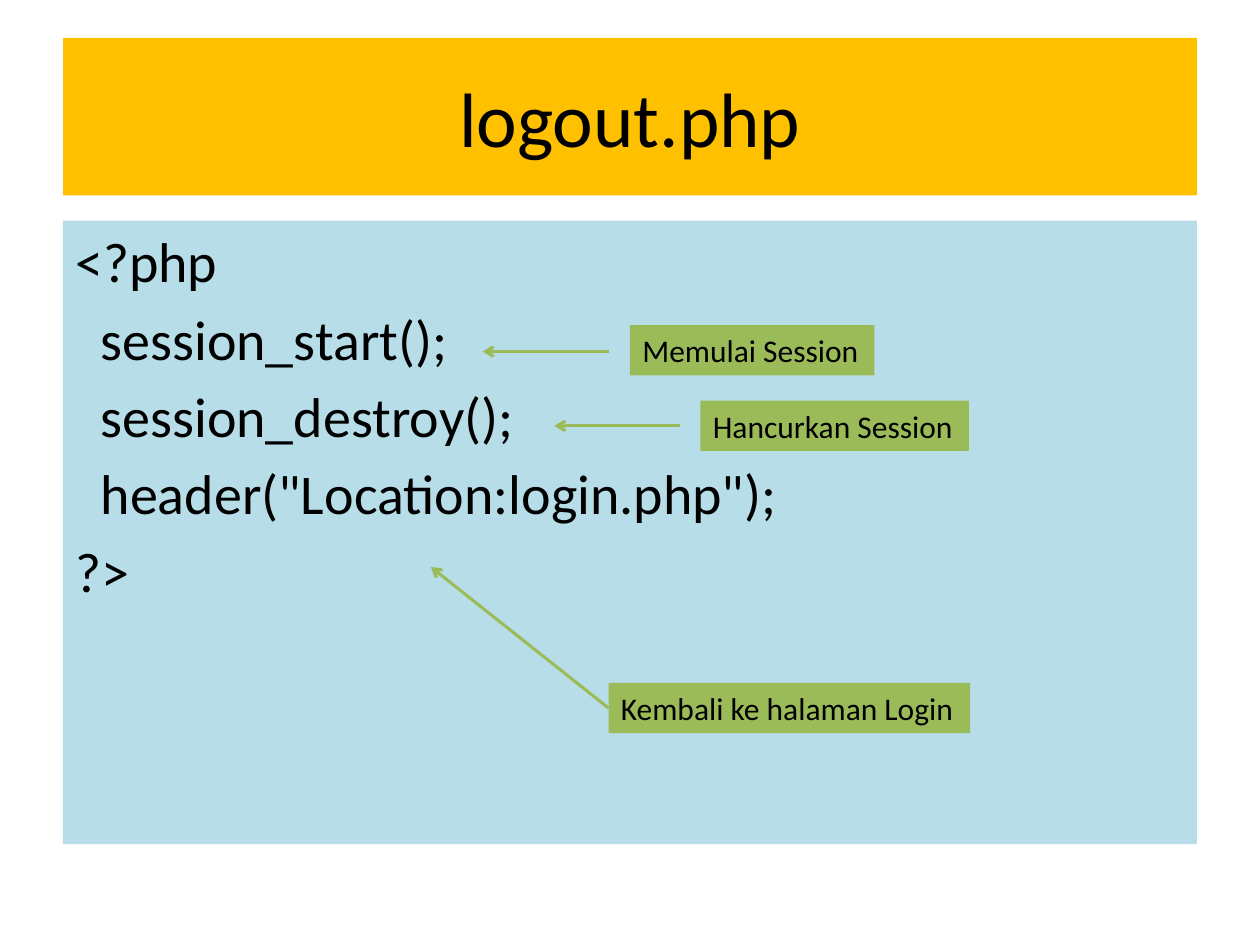
from pptx import Presentation
from pptx import util as u
from pptx.dml.color import RGBColor
from pptx.enum import shapes, text
from pptx.oxml.ns import qn
from lxml import etree

FONT = "Calibri"
BLACK, AMBER, SKY, GREEN = "000000", "FFC000", "B7DEE8", "9BBB59"

CODE = [
    "<?php",
    "  session_start();",
    "  session_destroy();",
    '  header("Location:login.php");',
    "?>",
]

# Label, its box, arrow start (None: middle of the label's left side), arrow tip
NOTES = [
    ("Memulai Session", (5, 2.58, 1.94, 0.4), (4.83, 2.79), (3.83, 2.79)),
    ("Hancurkan Session", (5.56, 3.18, 2.13, 0.4), (5.4, 3.38), (4.4, 3.38)),
    ("Kembali ke halaman Login", (4.83, 5.42, 2.87, 0.4), None, (3.42, 4.5)),
]


def color(value):
    return RGBColor.from_string(value)


def inches(values):
    return [u.Inches(value) for value in values]


def paint(shape, fill):
    shape.fill.solid()
    shape.fill.fore_color.rgb = color(fill)


def style(para, size):
    para.font.name = FONT
    para.font.size = u.Pt(size)
    para.font.color.rgb = color(BLACK)


def add_title(page, box, wording):
    title = page.shapes.title
    title.left, title.top, title.width, title.height = inches(box)
    paint(title, AMBER)
    frame = title.text_frame
    frame.text = wording
    frame.vertical_anchor = text.MSO_ANCHOR.MIDDLE
    para = frame.paragraphs[0]
    para.alignment = text.PP_ALIGN.CENTER
    style(para, 44)


def add_code(page, box, lines):
    panel = page.shapes.add_textbox(*inches(box))
    paint(panel, SKY)
    frame = panel.text_frame
    frame.word_wrap = True
    frame.text = "\n".join(lines)
    for index, para in enumerate(frame.paragraphs):
        para.space_before = u.Pt(5.8 if index else 0)
        style(para, 32)


def add_note(page, wording, box, start, tip):
    # Label
    label = page.shapes.add_textbox(*inches(box))
    paint(label, GREEN)
    frame = label.text_frame
    frame.word_wrap = False
    frame.auto_size = text.MSO_AUTO_SIZE.SHAPE_TO_FIT_TEXT
    frame.text = wording
    style(frame.paragraphs[0], 18)

    # Arrow from the label to its code line
    left, top, _, height = box
    begin = start or (left, top + height / 2)
    arrow = page.shapes.add_connector(
        shapes.MSO_CONNECTOR.STRAIGHT, *inches(begin + tip))
    if start is None:
        arrow.begin_connect(label, 1)
    arrow.line.color.rgb = color(GREEN)
    arrow.line.width = u.Pt(1.75)
    etree.SubElement(arrow.line._get_or_add_ln(), qn("a:tailEnd"), type="arrow")
    etree.SubElement(arrow._element.spPr, qn("a:effectLst"))


def main():
    deck = Presentation()
    deck.slide_width, deck.slide_height = inches((10, 7.5))
    page = deck.slides.add_slide(deck.slide_layouts[5])
    add_title(page, (0.5, 0.3, 9, 1.25), "logout.php")
    add_code(page, (0.5, 1.75, 9, 4.95), CODE)
    for note in NOTES:
        add_note(page, *note)
    deck.save("out.pptx")


if __name__ == "__main__":
    main()
